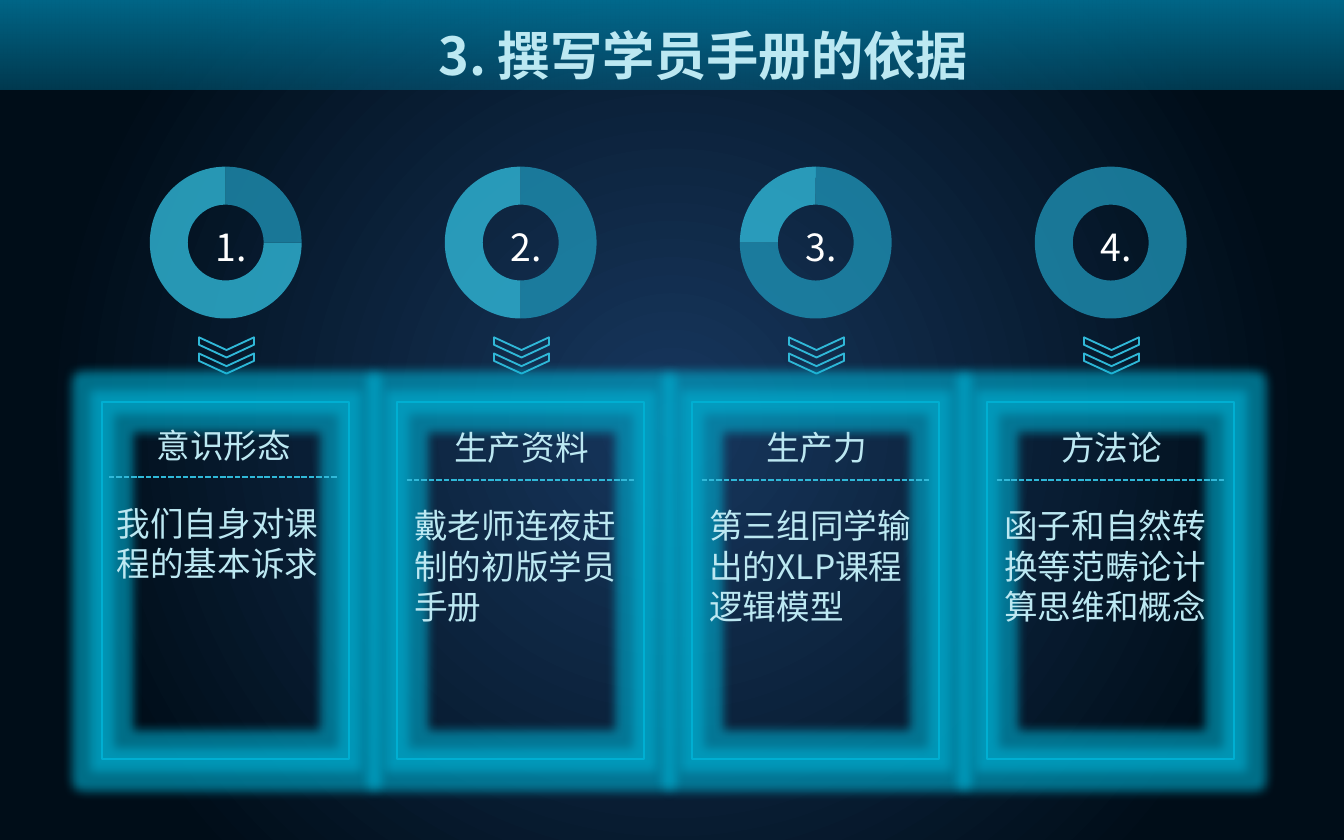
from lxml import etree
from pptx import Presentation
from pptx.dml.color import RGBColor
from pptx.enum.dml import MSO_LINE
from pptx.enum.shapes import MSO_CONNECTOR, MSO_SHAPE
from pptx.enum.text import MSO_ANCHOR, MSO_AUTO_SIZE, PP_ALIGN
from pptx.oxml.ns import qn
from pptx.util import Inches, Pt

RECTANGLE, CHEVRON = MSO_SHAPE.RECTANGLE, MSO_SHAPE.CHEVRON
BLOCK_ARC, DONUT = MSO_SHAPE.BLOCK_ARC, MSO_SHAPE.DONUT
STRAIGHT, DASH = MSO_CONNECTOR.STRAIGHT, MSO_LINE.SQUARE_DOT
LEFT, CENTER, TOP = PP_ALIGN.LEFT, PP_ALIGN.CENTER, MSO_ANCHOR.TOP
GROW = MSO_AUTO_SIZE.SHAPE_TO_FIT_TEXT

NAVY = RGBColor(0x17, 0x37, 0x5E)
MIDNIGHT = RGBColor(0x00, 0x0D, 0x18)
TEAL = RGBColor(0x00, 0x7D, 0xA4)
LIGHT_BLUE = RGBColor(0x30, 0xB8, 0xD8)
DARK_BLUE = RGBColor(0x1E, 0x8F, 0xB2)
CYAN = RGBColor(0x00, 0xAF, 0xD2)
PALE = RGBColor(0xBC, 0xE8, 0xF2)
WHITE = RGBColor(0xFF, 0xFF, 0xFF)

FONT = "Noto Sans CJK SC"
WIDTH, HEIGHT = 10, 6.25

# Column grid, in inches
FIRST_LEFT, PITCH = 0.76, 2.195
CARD_WIDTH, CARD_TOP, CARD_HEIGHT = 1.84, 2.99, 2.66
RING_SIZE, RING_TOP = 1.13, 1.24

COLUMNS = [
    ("意识形态", "我们自身对课程的基本诉求"),
    ("生产资料", "戴老师连夜赶制的初版学员手册"),
    ("生产力", "第三组同学输出的XLP课程逻辑模型"),
    ("方法论", "函子和自然转换等范畴论计算思维和概念"),
]


def write(shape, text, size=18, color=PALE, bold=False, align=LEFT, spacing=None):
    frame = shape.text_frame
    frame.word_wrap, frame.auto_size = True, GROW
    frame.vertical_anchor = TOP
    paragraph = frame.paragraphs[0]
    paragraph.alignment, paragraph.line_spacing = align, spacing
    run = paragraph.add_run()
    run.text = text
    font = run.font
    font.name, font.size, font.bold = FONT, Pt(size), bold
    font.color.rgb = color
    east_asian = etree.SubElement(font._element, qn("a:ea"))
    east_asian.set("typeface", FONT)


def set_alpha(color_element, percent):
    alpha = etree.SubElement(color_element, qn("a:alpha"))
    alpha.set("val", str(percent * 1000))


def set_gradient(fill, stops):
    fill.gradient()
    for stop, (position, color) in zip(fill.gradient_stops, stops):
        stop.position, stop.color.rgb = position, color


class SlideBuilder:
    """Holds the current slide and draws each kind of element on it."""

    def __init__(self, presentation):
        self.slide = presentation.slides.add_slide(presentation.slide_layouts[5])
        self.shapes = self.slide.shapes

    def box(self, column, x, y, width, height):
        left = FIRST_LEFT + column * PITCH + x
        return [Inches(value) for value in (left, y, width, height)]

    def background(self):
        set_gradient(self.slide.background.fill, [(0, NAVY), (0.8, MIDNIGHT)])
        gradient = self.slide._element.find(".//" + qn("a:gradFill"))
        gradient.remove(gradient.find(qn("a:lin")))
        circle = etree.SubElement(gradient, qn("a:path"))
        circle.set("path", "circle")
        center = etree.SubElement(circle, qn("a:fillToRect"))
        for side in "ltrb":
            center.set(side, "50000")

    def shape(self, kind, bounds, fill=None, alpha=None, line=None):
        shape = self.shapes.add_shape(kind, *bounds)
        shape.shadow.inherit = False
        if fill is None:
            shape.fill.background()
        else:
            shape.fill.solid()
            shape.fill.fore_color.rgb = fill
            if alpha:
                set_alpha(shape._element.spPr.find(".//" + qn("a:srgbClr")), alpha)
        if line is None:
            shape.line.fill.background()
        else:
            shape.line.color.rgb, shape.line.width = line, Pt(1)
        return shape

    def header(self, text):
        band = self.shape(RECTANGLE, (0, 0, Inches(WIDTH), Inches(0.67)))
        set_gradient(band.fill, [(0, TEAL), (1, TEAL)])
        band.fill.gradient_angle = 270
        colors = band._element.spPr.findall(".//" + qn("a:srgbClr"))
        for color, alpha in zip(colors, (80, 39)):
            set_alpha(color, alpha)
        title = self.shapes.title
        title._element.addprevious(band._element)
        title.left, title.top = Inches(1.77), Inches(0.03)
        title.width, title.height = Inches(6.92), Inches(0.59)
        write(title, text, size=28, bold=True, align=CENTER, spacing=1.2)

    def text(self, bounds, text, **style):
        write(self.shapes.add_textbox(*bounds), text, **style)

    def ring(self, column):
        """Fill one more quarter of the ring in each column."""
        x = (CARD_WIDTH - RING_SIZE) / 2
        bounds = self.box(column, x, RING_TOP, RING_SIZE, RING_SIZE)
        end = (270 + 90 * (column + 1)) % 360
        if end == 270:
            ring = self.shape(DONUT, bounds, DARK_BLUE, 80)
            ring.adjustments[0] = 0.25
        else:
            for start, stop, color in ((end, 270, LIGHT_BLUE), (270, end, DARK_BLUE)):
                arc = self.shape(BLOCK_ARC, bounds, color, 80)
                # Angles are stored in 60000ths of a degree, scaled by 100000
                arc.adjustments[0] = start * 0.6
                arc.adjustments[1] = stop * 0.6
                arc.adjustments[2] = 0.25
        self.text(self.box(column, 0.61, 1.62, 0.7, 0.44), f"{column + 1}.",
                  size=20, color=WHITE, align=CENTER)

    def chevrons(self, column):
        for y in (2.38, 2.5):
            bounds = self.box(column, 0.85, y, 0.15, 0.41)
            chevron = self.shape(CHEVRON, bounds, line=LIGHT_BLUE)
            chevron.rotation = 90
            chevron.adjustments[0] = 0.63

    def card(self, column):
        bounds = self.box(column, 0, CARD_TOP, CARD_WIDTH, CARD_HEIGHT)
        card = self.shape(RECTANGLE, bounds, line=CYAN)
        effects = card._element.spPr.find(qn("a:effectLst"))
        glow = etree.SubElement(effects, qn("a:glow"))
        glow.set("rad", str(Pt(11)))
        color = etree.SubElement(glow, qn("a:srgbClr"))
        color.set("val", str(CYAN))
        set_alpha(color, 60)

    def divider(self, column, x, y, length):
        left, top, width, _ = self.box(column, x, y, length, 0)
        line = self.shapes.add_connector(STRAIGHT, left, top, left + width, top)
        line.line.color.rgb, line.line.width = LIGHT_BLUE, Pt(1)
        line.line.dash_style = DASH
        etree.SubElement(line._element.spPr, qn("a:effectLst"))


def main():
    presentation = Presentation()
    presentation.slide_width = Inches(WIDTH)
    presentation.slide_height = Inches(HEIGHT)
    builder = SlideBuilder(presentation)
    builder.background()
    builder.header("3. 撰写学员手册的依据")

    for column, (heading, body) in enumerate(COLUMNS):
        builder.ring(column)
        builder.chevrons(column)
        builder.card(column)
        # The text of the first card sits slightly up and to the left
        shift = 0 if column else -0.02
        builder.text(builder.box(column, 0.04 + shift, 3.13 + shift, 1.77, 0.4),
                     heading, align=CENTER)
        builder.divider(column, 0.07 + shift, 3.57 + shift, 1.7)
        height = 1.01 if column else 0.71
        builder.text(builder.box(column, 0.03 + shift, 3.71 + shift, 1.77, height), body)

    presentation.save("out.pptx")


if __name__ == "__main__":
    main()
